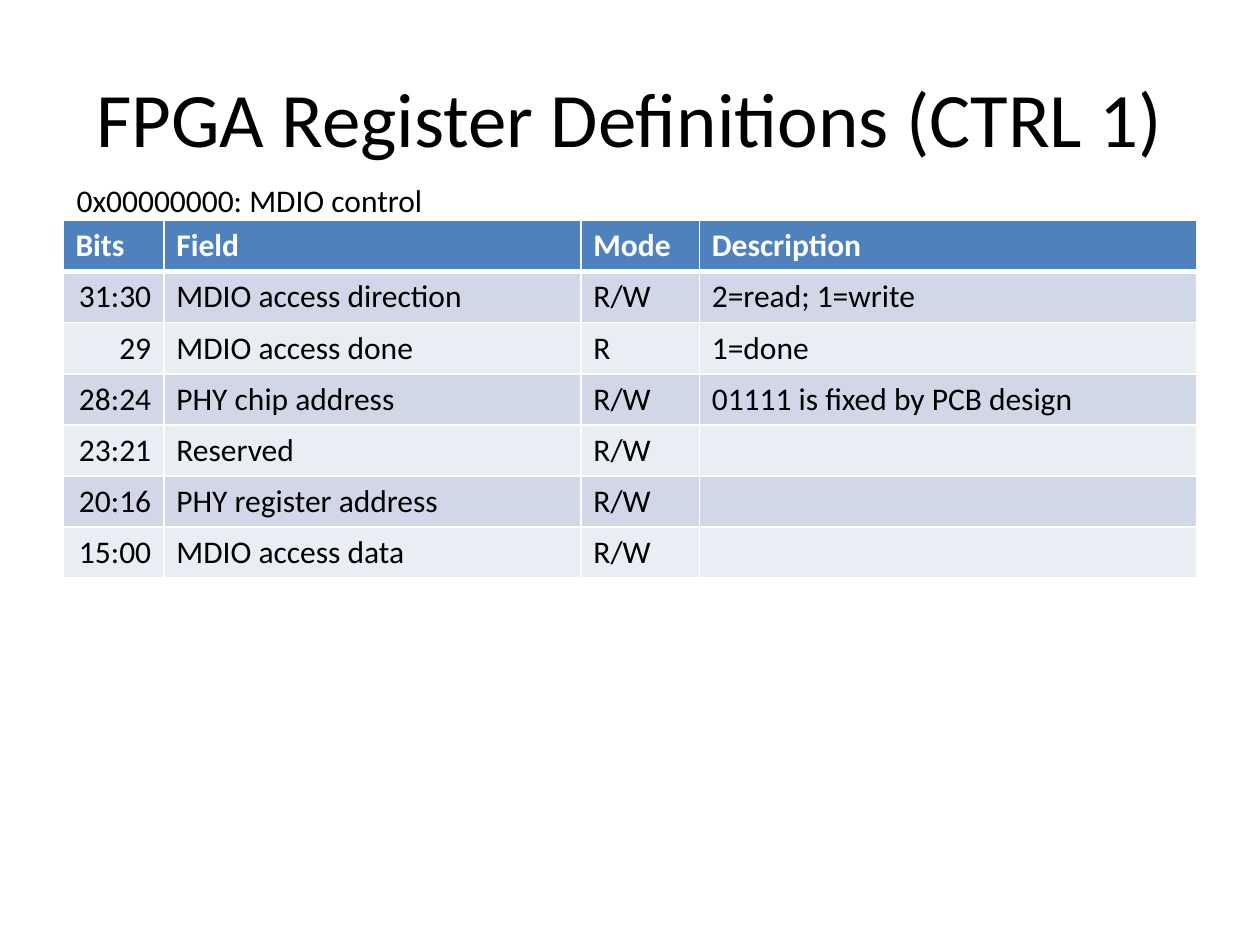
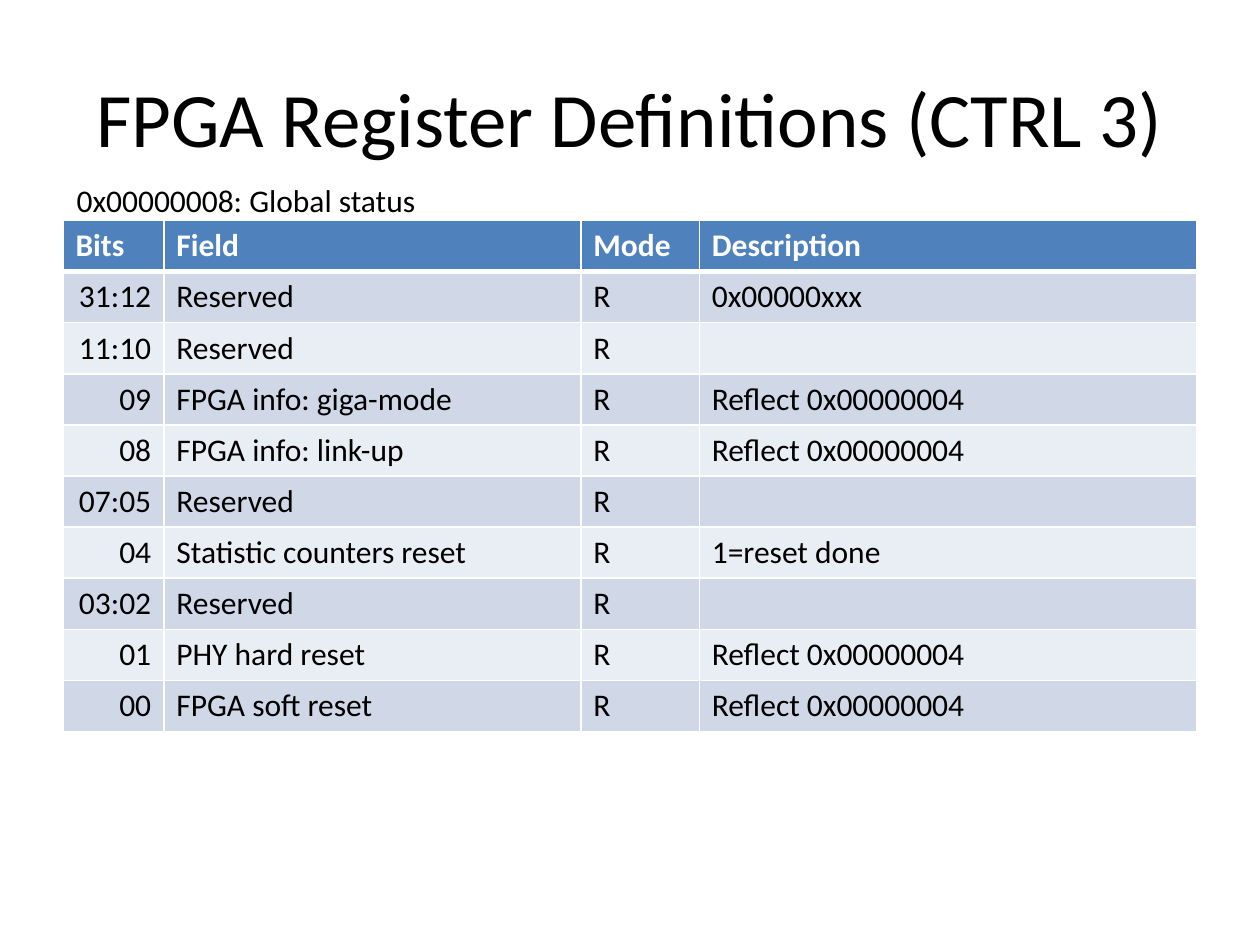
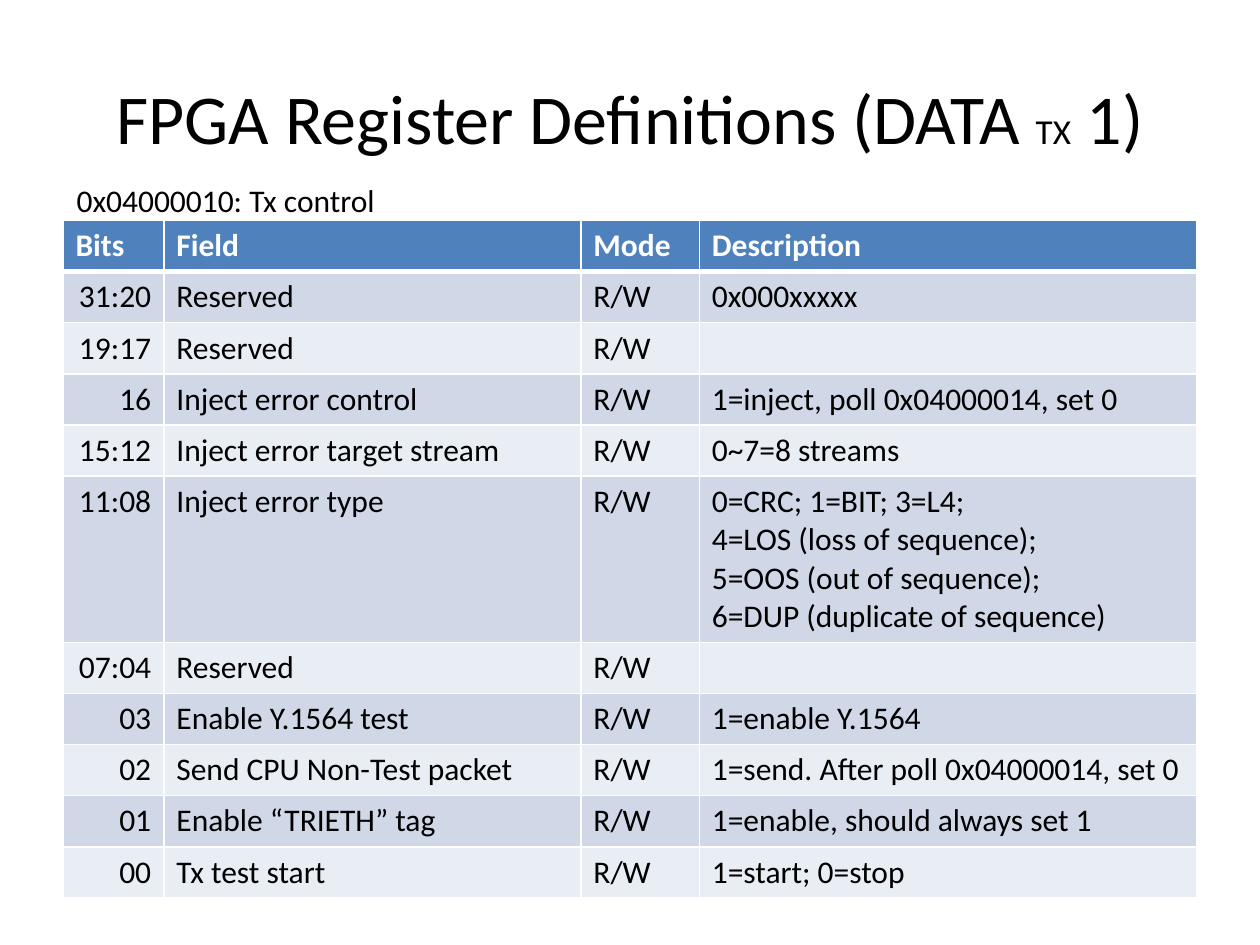
"""Build three FPGA register definition slides, each with a bit-field table."""
import pptx
import pptx.dml.color
import pptx.enum.text
import pptx.oxml
import pptx.oxml.ns
import pptx.util
from pptx.util import Inches, Pt

FONT = "Calibri"
BLACK, WHITE, HEADER_BLUE = "000000", "FFFFFF", "4F81BD"
BAND_FILLS = ["D0D8E8", "E9EDF4"]
HEADINGS = ("Bits", "Field", "Mode", "Description")
COLUMN_WIDTHS = [0.8, 3.31, 0.94, 3.95]
ROW_HEIGHT, LINE_HEIGHT = 29.2, 21.6

REGISTERS = [
    {
        "title": [("FPGA Register Definitions (CTRL 1)", 44)],
        "address": "0x00000000: MDIO control",
        "address_width": 2.98,
        "fields": [
            ("31:30", "MDIO access direction", "R/W", "2=read; 1=write"),
            ("29", "MDIO access done", "R", "1=done"),
            ("28:24", "PHY chip address", "R/W", "01111 is fixed by PCB design"),
            ("23:21", "Reserved", "R/W", ""),
            ("20:16", "PHY register address", "R/W", ""),
            ("15:00", "MDIO access data", "R/W", ""),
        ],
    },
    {
        "title": [("FPGA Register Definitions (CTRL 3)", 44)],
        "address": "0x00000008: Global status",
        "address_width": 2.92,
        "fields": [
            ("31:12", "Reserved", "R", "0x00000xxx"),
            ("11:10", "Reserved", "R", ""),
            ("09", "FPGA info: giga-mode", "R", "Reflect 0x00000004"),
            ("08", "FPGA info: link-up", "R", "Reflect 0x00000004"),
            ("07:05", "Reserved", "R", ""),
            ("04", "Statistic counters reset", "R", "1=reset done"),
            ("03:02", "Reserved", "R", ""),
            ("01", "PHY hard reset", "R", "Reflect 0x00000004"),
            ("00", "FPGA soft reset", "R", "Reflect 0x00000004"),
        ],
    },
    {
        "title": [("FPGA Register Definitions (DATA ", 40), ("TX", 20), (" 1)", 40)],
        "address": "0x04000010: Tx control",
        "address_width": 2.59,
        "fields": [
            ("31:20", "Reserved", "R/W", "0x000xxxxx"),
            ("19:17", "Reserved", "R/W", ""),
            ("16", "Inject error control", "R/W", "1=inject, poll 0x04000014, set 0"),
            ("15:12", "Inject error target stream", "R/W", "0~7=8 streams"),
            ("11:08", "Inject error type", "R/W",
             "0=CRC; 1=BIT; 3=L4;\n4=LOS (loss of sequence);\n"
             "5=OOS (out of sequence);\n6=DUP (duplicate of sequence)"),
            ("07:04", "Reserved", "R/W", ""),
            ("03", "Enable Y.1564 test", "R/W", "1=enable Y.1564"),
            ("02", "Send CPU Non-Test packet", "R/W", "1=send. After poll 0x04000014, set 0"),
            ("01", "Enable “TRIETH” tag", "R/W", "1=enable, should always set 1"),
            ("00", "Tx test start", "R/W", "1=start; 0=stop"),
        ],
    },
]


def add_run(paragraph, text, size=18, color=BLACK, bold=False):
    run = paragraph.add_run()
    run.text = text
    run.font.name = FONT
    run.font.size = Pt(size)
    run.font.bold = bold
    run.font.color.rgb = pptx.dml.color.RGBColor.from_string(color)


def style_cell(cell, fill, bottom_width):
    properties = cell._tc.get_or_add_tcPr()
    for side, width in (("L", 1), ("R", 1), ("T", 1), ("B", bottom_width)):
        properties.append(pptx.oxml.parse_xml(
            f'<a:ln{side} {pptx.oxml.ns.nsdecls("a")} w="{Pt(width)}">'
            f'<a:solidFill><a:srgbClr val="{WHITE}"/></a:solidFill></a:ln{side}>'))
    cell.fill.solid()
    cell.fill.fore_color.rgb = pptx.dml.color.RGBColor.from_string(fill)


deck = pptx.Presentation()
deck.slide_width, deck.slide_height = Inches(10), Inches(7.5)
title_only = deck.slide_layouts[5]

for register in REGISTERS:
    slide = deck.slides.add_slide(title_only)

    title = slide.shapes.title
    title.left, title.top = Inches(0.5), Inches(0.3)
    title.width, title.height = Inches(9), Inches(1.25)
    title.text_frame.vertical_anchor = pptx.enum.text.MSO_ANCHOR.MIDDLE
    heading = title.text_frame.paragraphs[0]
    heading.alignment = pptx.enum.text.PP_ALIGN.CENTER
    for text, size in register["title"]:
        add_run(heading, text, size)

    rows = [HEADINGS] + register["fields"]
    line_counts = [row[-1].count("\n") + 1 for row in rows]
    heights = [Pt(ROW_HEIGHT + (count - 1) * LINE_HEIGHT) for count in line_counts]
    bit_fields = slide.shapes.add_table(
        len(rows), len(HEADINGS), Inches(0.5), Inches(1.75), Inches(9), sum(heights)).table
    for column, width in zip(bit_fields.columns, COLUMN_WIDTHS):
        column.width = Inches(width)

    for r, row in enumerate(rows):
        bit_fields.rows[r].height = heights[r]
        is_header = r == 0
        fill = HEADER_BLUE if is_header else BAND_FILLS[(r - 1) % 2]
        for c, content in enumerate(row):
            cell = bit_fields.cell(r, c)
            style_cell(cell, fill, 3 if is_header else 1)
            for n, line in enumerate(content.split("\n")):
                frame = cell.text_frame
                paragraph = frame.add_paragraph() if n else frame.paragraphs[0]
                if c == 0 and not is_header:
                    paragraph.alignment = pptx.enum.text.PP_ALIGN.RIGHT
                if line:
                    add_run(paragraph, line, color=WHITE if is_header else BLACK, bold=is_header)

    address = slide.shapes.add_textbox(
        Inches(0.51), Inches(1.39), Inches(register["address_width"]), Inches(0.4))
    address.text_frame.word_wrap = False
    address.text_frame.auto_size = pptx.enum.text.MSO_AUTO_SIZE.SHAPE_TO_FIT_TEXT
    add_run(address.text_frame.paragraphs[0], register["address"])

deck.save("out.pptx")
